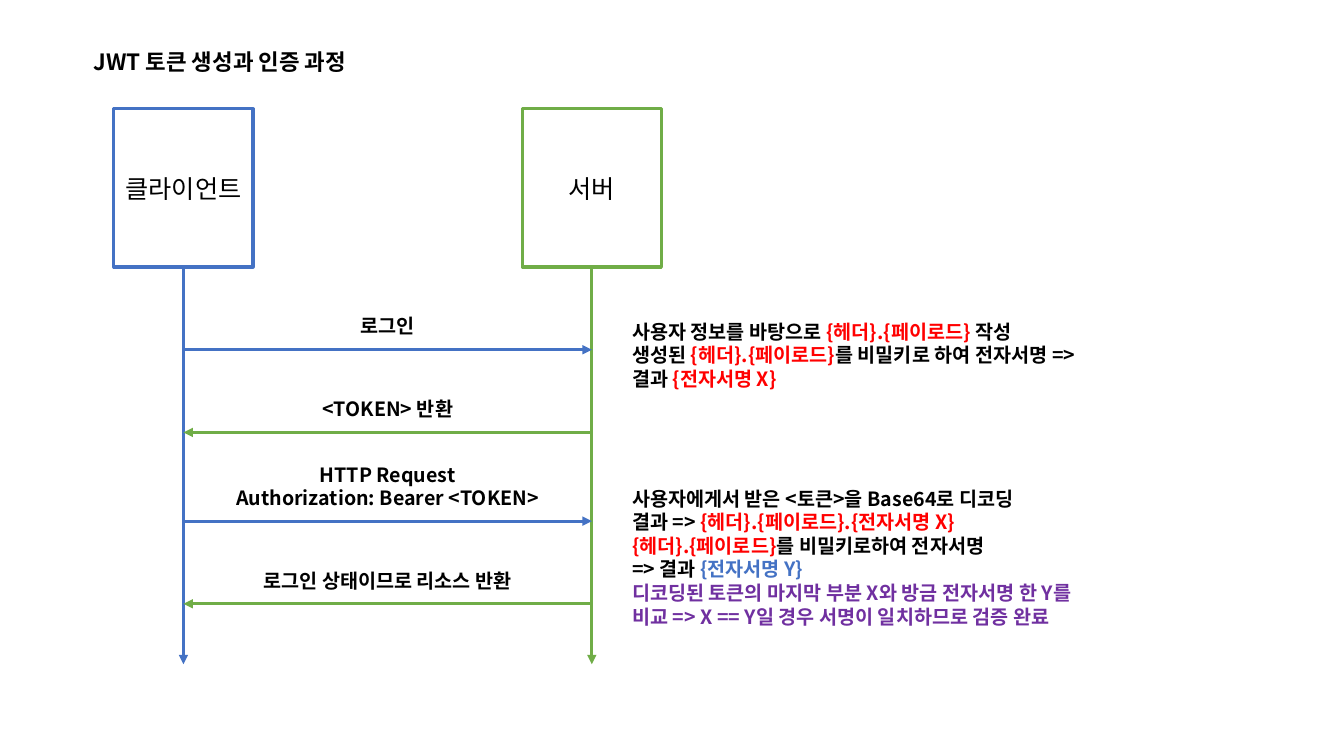
"""Build a slide with the sequence of creating and checking a JWT token."""
import pptx
import pptx.dml.color
import pptx.enum.shapes
import pptx.enum.text
import pptx.oxml
import pptx.oxml.ns
import pptx.util

FONT = "Noto Sans CJK KR"
BLACK, RED, BLUE, GREEN, PURPLE = "000000", "FF0000", "4472C4", "70AD47", "7030A0"
inches = pptx.util.Inches


def color(value):
    return pptx.dml.color.RGBColor.from_string(value)


def write(box, paragraphs, size, bold=True, centered=False):
    frame = box.text_frame
    frame.word_wrap = True
    for index, pieces in enumerate(paragraphs):
        para = frame.paragraphs[0] if index == 0 else frame.add_paragraph()
        para.alignment = pptx.enum.text.PP_ALIGN.CENTER if centered else pptx.enum.text.PP_ALIGN.LEFT
        para.font.size = pptx.util.Pt(size)
        para.font.bold = bold
        para.font.name = FONT
        para.font.color.rgb = color(BLACK)
        latin = para.font._element.find(pptx.oxml.ns.qn("a:latin"))
        latin.addnext(pptx.oxml.parse_xml(f'<a:ea {pptx.oxml.ns.nsdecls("a")} typeface="{FONT}"/>'))
        for text, tint in pieces:
            for number, line in enumerate(text.split("\n")):
                if number:
                    para.add_line_break()
                if line:
                    span = para.add_run()
                    span.text = line
                    if tint != BLACK:
                        span.font.color.rgb = color(tint)


deck = pptx.Presentation()
deck.slide_width, deck.slide_height = inches(13.33), inches(7.5)
page = deck.slides.add_slide(deck.slide_layouts[6])

client, lane_gap = 1.82, 4.05
server = client + lane_gap
actor_top, actor_width, actor_height = 1.08, 1.38, 1.57
lane_top, lane_bottom = actor_top + actor_height, 6.59
note_left, note_width = server + 0.3, 4.78

arrows = []
for name, lane, tint in [("클라이언트", client, BLUE), ("서버", server, GREEN)]:
    actor = page.shapes.add_shape(
        pptx.enum.shapes.MSO_SHAPE.RECTANGLE, inches(lane - actor_width / 2),
        inches(actor_top), inches(actor_width), inches(actor_height))
    actor.shadow.inherit = False
    actor.fill.background()
    actor.line.color.rgb = color(tint)
    actor.line.width = pptx.util.Pt(2.25)
    frame = actor.text_frame
    frame.vertical_anchor = pptx.enum.text.MSO_ANCHOR.MIDDLE
    frame.margin_left = frame.margin_right = frame.margin_top = frame.margin_bottom = inches(0.04)
    write(actor, [[(name, BLACK)]], 18, bold=False, centered=True)
    arrows.append((lane, lane_top, lane, lane_bottom, tint))

texts = [(0.83, 0.43, 3.36, 0.37, [[("JWT 토큰 생성과 인증 과정", BLACK)]], 16, False)]
messages = [
    (3.47, "로그인", 1.69, 0.34),
    (4.29, "<TOKEN> 반환", 1.69, 0.34),
    (5.17, "HTTP Request\nAuthorization: Bearer <TOKEN>", lane_gap, 0.57),
    (5.99, "로그인 상태이므로 리소스 반환", 3.25, 0.34),
]
for index, (row, label, width, height) in enumerate(messages):
    start, end, tint = [(client, server, BLUE), (server, client, GREEN)][index % 2]
    arrows.append((start, row, end, row, tint))
    left = client + (lane_gap - width) / 2
    texts.append((left, row - 0.06 - height, width, height, [[(label, BLACK)]], 14, True))

signing = [[
    ("사용자 정보를 바탕으로 ", BLACK), ("{헤더}.{페이로드} ", RED),
    ("작성\n생성된 ", BLACK), ("{헤더}.{페이로드}", RED),
    ("를 비밀키로 하여 전자서명 => 결과 ", BLACK), ("{전자서명 X}", RED),
]]
checking = [
    [("사용자에게서 받은 <토큰>을 Base64로 디코딩\n결과 => ", BLACK),
     ("{헤더}.{페이로드}.{전자서명 X}", RED)],
    [("{헤더}.{페이로드}", RED), ("를 비밀키로하여 전자서명\n=> 결과 ", BLACK),
     ("{전자서명 Y}\n", BLUE),
     ("디코딩된 토큰의 마지막 부분 X와 방금 전자서명 한 Y를 비교 => "
      "X == Y일 경우 서명이 일치하므로 검증 완료", PURPLE)],
]
texts.append((note_left, 3.12, note_width, 0.81, signing, 14, False))
texts.append((note_left, 4.78, note_width, 1.75, checking, 14, False))

for start_x, start_y, end_x, end_y, tint in arrows:
    arrow = page.shapes.add_connector(
        pptx.enum.shapes.MSO_CONNECTOR.STRAIGHT,
        inches(start_x), inches(start_y), inches(end_x), inches(end_y))
    arrow.line.color.rgb = color(tint)
    arrow.line.width = pptx.util.Pt(2.25)
    namespace = pptx.oxml.ns.nsdecls("a")
    arrow.line._get_or_add_ln().append(pptx.oxml.parse_xml(f'<a:tailEnd {namespace} type="triangle"/>'))
    arrow._element.spPr.append(pptx.oxml.parse_xml(f"<a:effectLst {namespace}/>"))

for left, top, width, height, paragraphs, size, centered in texts:
    box = page.shapes.add_textbox(inches(left), inches(top), inches(width), inches(height))
    write(box, paragraphs, size, centered=centered)

deck.save("out.pptx")
